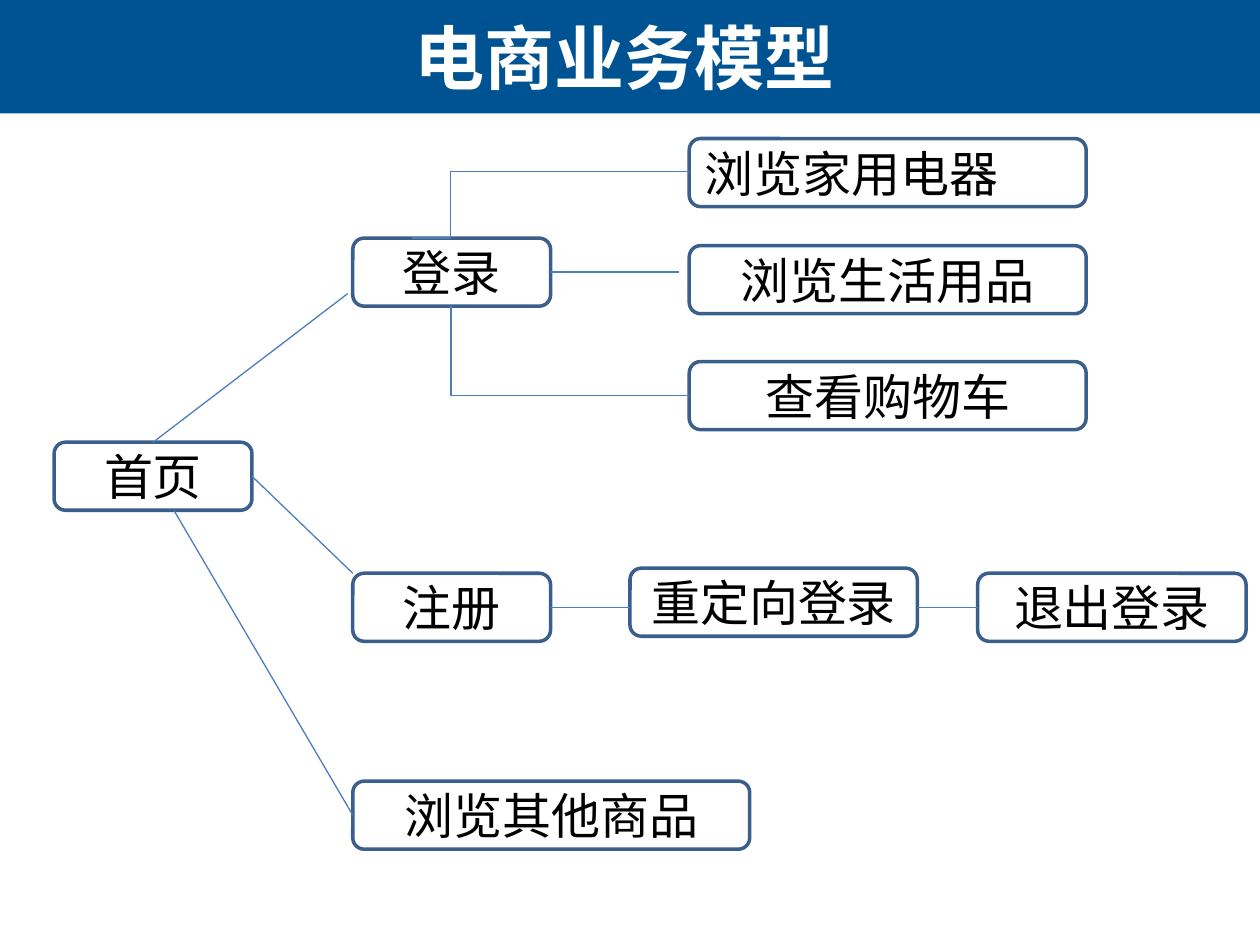
from lxml import etree
from pptx import Presentation
from pptx.dml.color import RGBColor
from pptx.enum import shapes, text
from pptx.oxml import ns
from pptx.util import Inches, Pt

BANNER_BLUE = RGBColor(0x00, 0x53, 0x92)
BOX_BLUE = RGBColor(0x3A, 0x5F, 0x8C)
LINK_BLUE = RGBColor(0x4B, 0x7E, 0xBC)
WHITE = RGBColor(0xFF, 0xFF, 0xFF)
BLACK = RGBColor(0x00, 0x00, 0x00)

BOX_HEIGHT = 0.54
SHORT, LONG = 1.57, 3.15
TOP, LEFT, RIGHT = 0, 1, 3
CENTER, START = text.PP_ALIGN.CENTER, text.PP_ALIGN.LEFT


def write(frame, words, align, **font_format):
    frame.word_wrap = True
    frame.vertical_anchor = text.MSO_ANCHOR.MIDDLE
    paragraph = frame.paragraphs[0]
    paragraph.alignment = align
    run = paragraph.add_run()
    run.text = words
    run.font.color.rgb = font_format.pop("color")
    for name, value in font_format.items():
        setattr(run.font, name, value)


def add_banner(slide, words):
    banner = slide.shapes.add_shape(
        shapes.MSO_SHAPE.RECTANGLE, 0, 0, Inches(10), Inches(0.9))
    banner.shadow.inherit = False
    banner.fill.solid()
    banner.fill.fore_color.rgb = BANNER_BLUE
    banner.line.fill.background()
    title = slide.shapes.add_textbox(
        Inches(0.02), 0, Inches(9.87), Inches(0.9))
    write(title.text_frame, words, CENTER,
          name="Arial", size=Pt(40), bold=True, color=WHITE)


def add_page(slide, words, left, top, width, align=CENTER):
    page = slide.shapes.add_shape(
        shapes.MSO_SHAPE.ROUNDED_RECTANGLE, Inches(left), Inches(top),
        Inches(width), Inches(BOX_HEIGHT))
    page.shadow.inherit = False
    page.fill.background()
    page.line.color.rgb = BOX_BLUE
    page.line.width = Pt(2)
    write(page.text_frame, words, align,
          name="Calibri", size=Pt(28), color=BLACK)
    return page


def add_link(slide, start, end, kind=shapes.MSO_CONNECTOR.STRAIGHT):
    link = slide.shapes.add_connector(kind, *map(Inches, start + end))
    link.line.color.rgb = LINK_BLUE
    link.line.width = Pt(0.75)
    etree.SubElement(link._element.spPr, ns.qn("a:effectLst"))
    return link


def add_bent_link(slide, start, end, bend):
    """Elbow whose turn lies at the fraction bend of its width."""
    link = add_link(slide, start, end, shapes.MSO_CONNECTOR.ELBOW)
    guides = link._element.spPr.find(
        f"{ns.qn('a:prstGeom')}/{ns.qn('a:avLst')}")
    etree.SubElement(guides, ns.qn("a:gd"), name="adj1",
                     fmla=f"val {round(bend * 100000)}")


def main():
    deck = Presentation()
    deck.slide_width, deck.slide_height = Inches(10), Inches(7.5)
    slide = deck.slides.add_slide(deck.slide_layouts[6])
    slide.background.fill.solid()
    slide.background.fill.fore_color.rgb = WHITE

    add_banner(slide, "电商业务模型")

    # Home page and its three branches
    home = add_page(slide, "首页", 0.43, 3.51, SHORT)
    login = add_page(slide, "登录", 2.8, 1.89, SHORT)
    register = add_page(slide, "注册", 2.8, 4.55, SHORT)
    other_goods = add_page(slide, "浏览其他商品", 2.8, 6.2, LONG)

    # Pages after login
    for words, top, align in (("浏览家用电器", 1.1, START),
                              ("浏览生活用品", 1.95, CENTER),
                              ("查看购物车", 2.87, CENTER)):
        add_page(slide, words, 5.47, top, LONG, align)

    # Pages after registration
    add_page(slide, "重定向登录", 5, 4.51, 2.28)
    logout = add_page(slide, "退出登录", 7.76, 4.55, 2.13)

    # Links from home
    add_link(slide, (2.76, 2.33), (1.22, 3.51)).end_connect(home, TOP)
    add_link(slide, (1.38, 4.05), (2.8, 6.47)).end_connect(other_goods, LEFT)
    add_link(slide, (2.01, 3.78), (2.8, 4.55)).begin_connect(home, RIGHT)

    # Links from login
    add_bent_link(slide, (5.47, 1.36), (3.27, 1.89), 0.86)
    add_link(slide, (4.37, 2.16), (5.39, 2.16)).begin_connect(login, RIGHT)
    add_bent_link(slide, (5.47, 3.14), (3.58, 2.43), 1)

    # Links from registration
    add_link(slide, (4.37, 4.82), (5, 4.82)).begin_connect(register, RIGHT)
    add_link(slide, (7.28, 4.82), (7.76, 4.82)).end_connect(logout, LEFT)

    deck.save("out.pptx")


if __name__ == "__main__":
    main()
